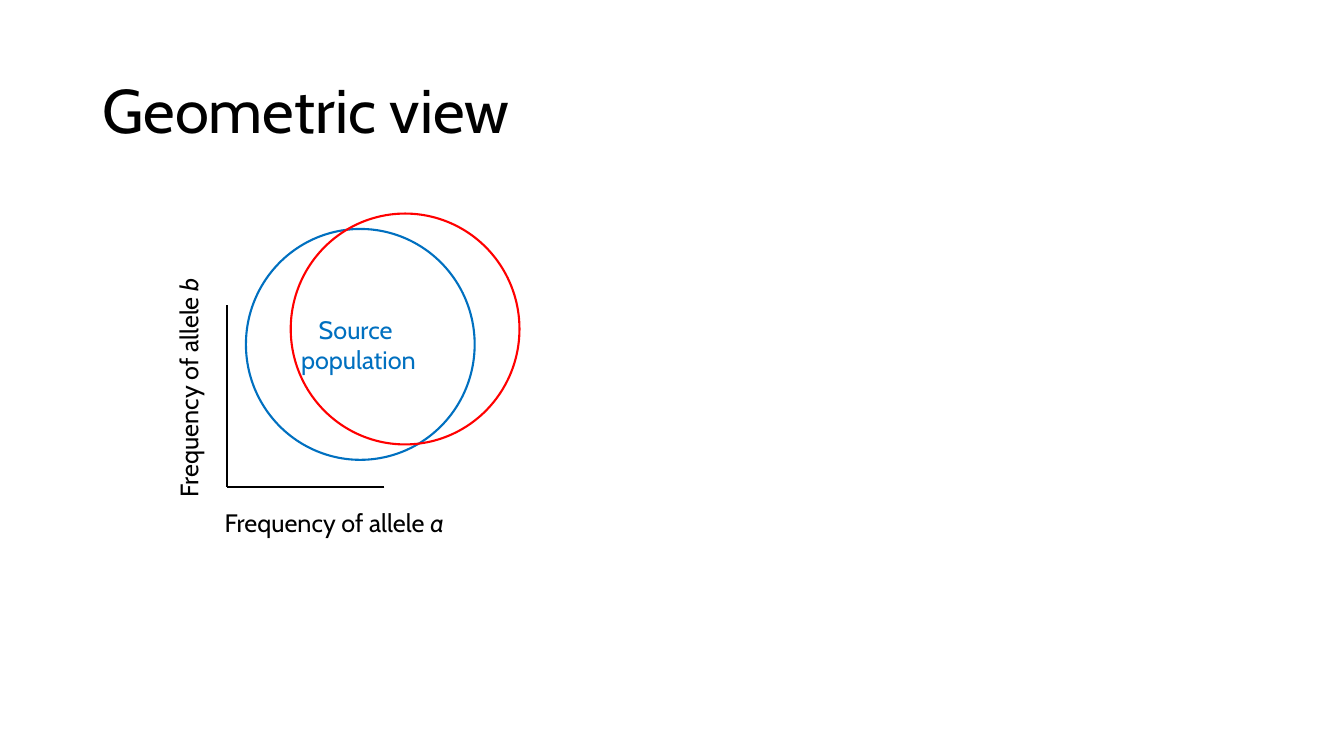
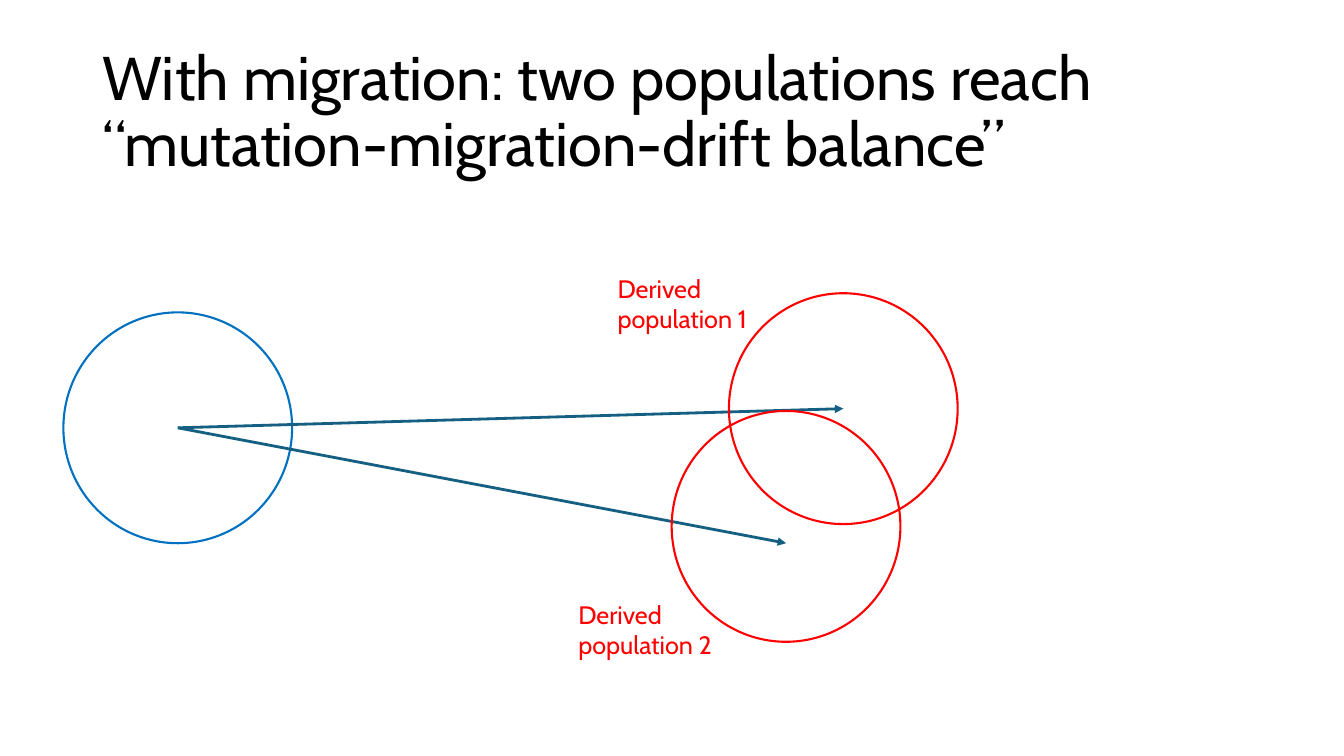
from lxml import etree
from pptx import Presentation
from pptx.dml.color import RGBColor
from pptx.enum.shapes import MSO_CONNECTOR, MSO_SHAPE
from pptx.enum.text import MSO_ANCHOR, MSO_AUTO_SIZE, PP_ALIGN
from pptx.oxml.ns import qn
from pptx.util import Pt

COLORS = {"text": "000000", "source": "0070C0", "derived": "FF0000", "arrow": "156082"}
FONT = "Cabin"
CIRCLE_W, CIRCLE_H = 163.4, 164.9
LABEL_W, LABEL_H = 175.7, 29


def rgb(name):
    return RGBColor.from_string(COLORS[name])


def add_run(p, text, size, color, italic=None):
    r = p.add_run()
    r.text = text
    r.font.name = FONT
    r.font.size = Pt(size)
    r.font.color.rgb = rgb(color)
    r.font.italic = italic


def titled_slide(prs, title):
    s = prs.slides.add_slide(prs.slide_layouts[5])
    sp = s.shapes.title
    sp.left, sp.top, sp.width, sp.height = Pt(66), Pt(28.8), Pt(828), Pt(104.4)
    tf = sp.text_frame
    tf.word_wrap = True
    tf.auto_size = MSO_AUTO_SIZE.NONE
    tf.vertical_anchor = MSO_ANCHOR.MIDDLE
    p = tf.paragraphs[0]
    p.alignment = PP_ALIGN.LEFT
    p.line_spacing = 0.9
    add_run(p, title, 44, "text")
    return s


def add_label(s, x, y, w, h, paragraphs, color, align=PP_ALIGN.LEFT, wrap=False):
    """Each paragraph is a list of (text, italic) runs."""
    sp = s.shapes.add_textbox(Pt(x), Pt(y), Pt(w), Pt(h))
    tf = sp.text_frame
    tf.word_wrap = wrap
    tf.auto_size = MSO_AUTO_SIZE.SHAPE_TO_FIT_TEXT
    for i, runs in enumerate(paragraphs):
        p = tf.add_paragraph() if i else tf.paragraphs[0]
        p.alignment = align
        for text, italic in runs:
            add_run(p, text, 18, color, italic)
    return sp


def add_circle(s, cx, cy, color):
    sp = s.shapes.add_shape(MSO_SHAPE.OVAL, Pt(cx - CIRCLE_W / 2), Pt(cy - CIRCLE_H / 2),
                            Pt(CIRCLE_W), Pt(CIRCLE_H))
    sp.shadow.inherit = False
    sp.fill.background()
    sp.line.color.rgb = rgb(color)
    sp.line.width = Pt(1.5)


def add_line(s, start, end, color, width, arrow=False):
    line = s.shapes.add_connector(MSO_CONNECTOR.STRAIGHT, *map(Pt, (*start, *end)))
    line.line.color.rgb = rgb(color)
    line.line.width = Pt(width)
    if arrow:
        etree.SubElement(line.line._get_or_add_ln(), qn("a:tailEnd"), type="triangle")
    etree.SubElement(line._element.spPr, qn("a:effectLst"))


def allele_axes(s, x, y, w, h):
    """Two axes meeting at the lower left of the box, with their labels outside it."""
    corner = (x, y + h)
    add_line(s, (x, y), corner, "text", 1.5)
    add_line(s, (x + w, y + h), corner, "text", 1.5)
    for allele, left, top, rotation in (
        ("a", x - 8.6, y + h + 11, 0),
        ("b", x - 27.4 - LABEL_W / 2, y + 56.3 - LABEL_H / 2, 270),
    ):
        label = add_label(s, left, top, LABEL_W, LABEL_H,
                          [[("Frequency of allele ", None), (allele, True)]], "text")
        label.rotation = rotation


def overlapping_populations(s, x, y):
    """Source circle, its name and the shifted derived circle; x, y is the source centre."""
    add_label(s, x - 49.7, y - 25, 99.4, 51,
              [[("Source ", None)], [("population", None)]], "source", PP_ALIGN.CENTER)
    add_circle(s, x + 1.4, y, "source")
    add_circle(s, x + 33.4, y - 11, "derived")


def migration_diagram(s, x, y):
    """Source circle centred at x, y with an arrow to each derived population."""
    add_circle(s, x, y, "source")
    # circle centre, arrow end and label corner, all measured from the source centre
    derived = (
        ((475.4, -13.7), (475.4, -13.7), (307, -114)),
        ((434.5, 70.4), (434.5, 82.4), (279, 119)),
    )
    for number, (centre, tip, label) in enumerate(derived, 1):
        add_line(s, (x, y), (x + tip[0], y + tip[1]), "arrow", 2, arrow=True)
        add_label(s, x + label[0], y + label[1], 123, 51,
                  [[(f"Derived population {number}", None)]], "derived", wrap=True)
        add_circle(s, x + centre[0], y + centre[1], "derived")


def main():
    prs = Presentation()
    prs.slide_width, prs.slide_height = Pt(960), Pt(540)

    s = titled_slide(prs, "Geometric view")
    allele_axes(s, 162, 218, 112.5, 130)
    overlapping_populations(s, 256, 246)

    s = titled_slide(prs, "With migration: two populations reach “mutation-migration-drift balance”")
    migration_diagram(s, 127, 305.6)

    prs.save("out.pptx")


if __name__ == "__main__":
    main()
